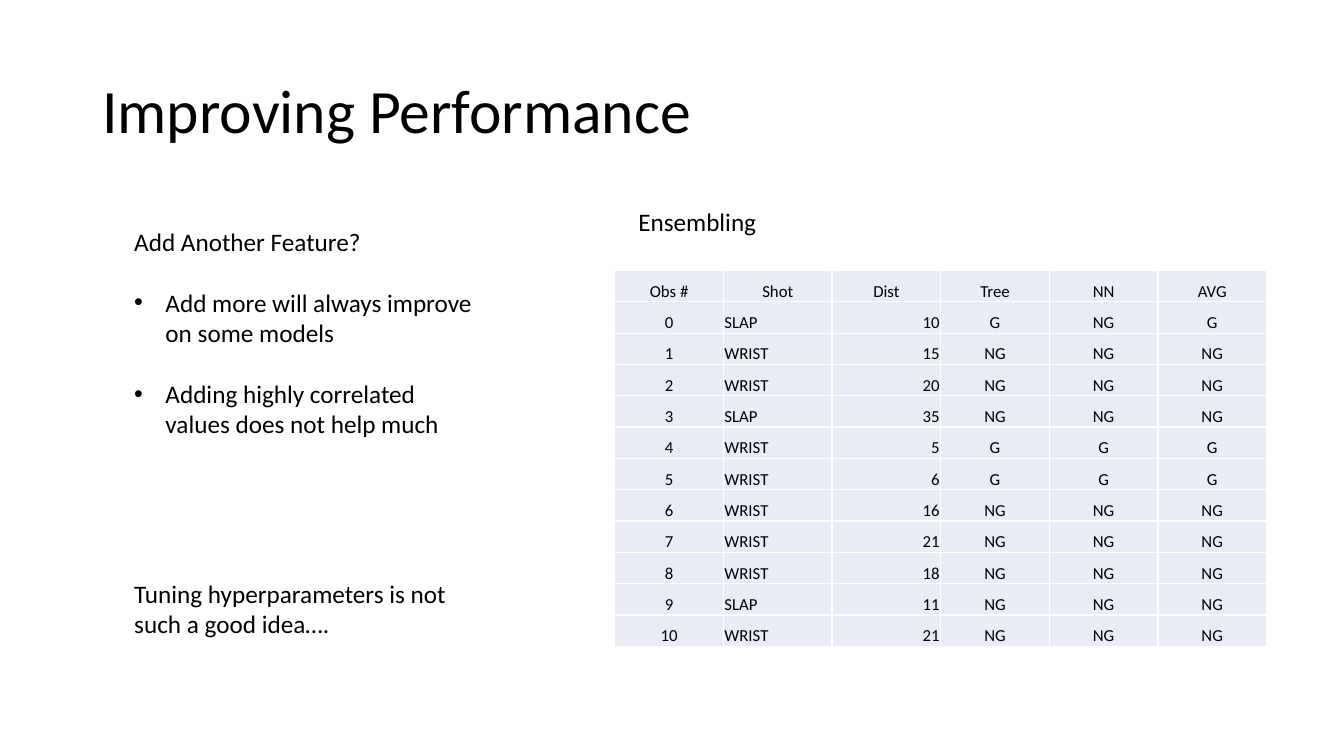
from lxml import etree
from pptx import Presentation
from pptx import util as u
from pptx.dml.color import RGBColor
from pptx.enum import text
from pptx.oxml import ns

BLACK = RGBColor(0x00, 0x00, 0x00)
WHITE = RGBColor(0xFF, 0xFF, 0xFF)
PALE_BLUE = RGBColor(0xE9, 0xEB, 0xF5)

LEFT, CENTER, RIGHT = text.PP_ALIGN.LEFT, text.PP_ALIGN.CENTER, text.PP_ALIGN.RIGHT

HEADINGS = ("Obs #", "Shot", "Dist", "Tree", "NN", "AVG")
SHOTS = (
    ("SLAP", 10, "G", "NG", "G"),
    ("WRIST", 15, "NG", "NG", "NG"),
    ("WRIST", 20, "NG", "NG", "NG"),
    ("SLAP", 35, "NG", "NG", "NG"),
    ("WRIST", 5, "G", "G", "G"),
    ("WRIST", 6, "G", "G", "G"),
    ("WRIST", 16, "NG", "NG", "NG"),
    ("WRIST", 21, "NG", "NG", "NG"),
    ("WRIST", 18, "NG", "NG", "NG"),
    ("SLAP", 11, "NG", "NG", "NG"),
    ("WRIST", 21, "NG", "NG", "NG"),
)
SHOT_ALIGNS = (CENTER, LEFT, RIGHT, CENTER, CENTER, CENTER)


class SlideBuilder:
    font = "Calibri"
    title_size, body_size, table_size = 44, 18, 12
    paragraph_gap = u.Pt(22)
    bullet_indent = u.Inches(0.31)
    columns, rows = 160, 90

    def __init__(self, deck):
        self.column = deck.slide_width / self.columns
        self.row = deck.slide_height / self.rows
        self.slide = deck.slides.add_slide(deck.slide_layouts[6])

    def area(self, left, top, width, height):
        return (round(left * self.column), round(top * self.row),
                round(width * self.column), round(height * self.row))

    def add_span(self, para, words, size):
        span = para.add_run()
        span.text = words
        span.font.name = self.font
        span.font.size = u.Pt(size)
        span.font.bold = False
        span.font.color.rgb = BLACK

    def text_box(self, area):
        box = self.slide.shapes.add_textbox(*self.area(*area))
        box.text_frame.word_wrap = True
        return box.text_frame

    def title(self, words, area):
        frame = self.text_box(area)
        frame.vertical_anchor = text.MSO_ANCHOR.MIDDLE
        para = frame.paragraphs[0]
        para.line_spacing = 0.9
        self.add_span(para, words, self.title_size)

    def body(self, words, area, bullets=()):
        frame = self.text_box(area)
        self.add_span(frame.paragraphs[0], words, self.body_size)
        for bullet in bullets:
            para = frame.add_paragraph()
            para.space_before = self.paragraph_gap
            self.add_span(para, bullet, self.body_size)
            self.add_bullet(para)

    def add_bullet(self, para):
        properties = para._p.get_or_add_pPr()
        properties.set("marL", str(self.bullet_indent))
        properties.set("indent", str(-self.bullet_indent))
        etree.SubElement(properties, ns.qn("a:buFont"), typeface="Arial")
        etree.SubElement(properties, ns.qn("a:buChar"), char="•")

    def table(self, records, area):
        shape = self.slide.shapes.add_table(len(records), len(records[0]), *self.area(*area))
        table = shape.table
        table.first_row = table.horz_banding = False
        for row, record in enumerate(records):
            aligns = SHOT_ALIGNS if row else [CENTER] * len(record)
            for column, (value, align) in enumerate(zip(record, aligns)):
                self.fill_cell(table.cell(row, column), str(value), align)

    def fill_cell(self, cell, words, align):
        cell.margin_left = cell.margin_top = cell.margin_right = u.Inches(0.01)
        cell.margin_bottom = 0
        cell.vertical_anchor = text.MSO_ANCHOR.BOTTOM
        para = cell.text_frame.paragraphs[0]
        para.alignment = align
        self.add_span(para, words, self.table_size)
        self.add_borders(cell)
        cell.fill.solid()
        cell.fill.fore_color.rgb = PALE_BLUE

    def add_borders(self, cell):
        properties = cell._tc.get_or_add_tcPr()
        for side in ("lnL", "lnR", "lnT", "lnB"):
            line = etree.SubElement(properties, ns.qn(f"a:{side}"), w=str(u.Pt(1)))
            fill = etree.SubElement(line, ns.qn("a:solidFill"))
            etree.SubElement(fill, ns.qn("a:srgbClr"), val=str(WHITE))


def main():
    deck = Presentation()
    deck.slide_width, deck.slide_height = u.Inches(13.33), u.Inches(7.5)
    page = SlideBuilder(deck)
    page.title("Improving Performance", (11, 4.8, 138, 17.4))
    observations = [(number, *shot) for number, shot in enumerate(SHOTS)]
    page.table([HEADINGS, *observations], (73.2, 32.2, 77.6, 44.76))
    page.body("Ensembling", (74.8, 24, 42.6, 4.8))
    page.body("Add Another Feature?", (14.8, 26.3, 42.6, 30.2), (
        "Add more will always improve on some models",
        "Adding highly correlated values does not help much",
    ))
    page.body("Tuning hyperparameters is not such a good idea….", (14.8, 68.2, 42.6, 12.1))
    deck.save("out.pptx")


if __name__ == "__main__":
    main()
